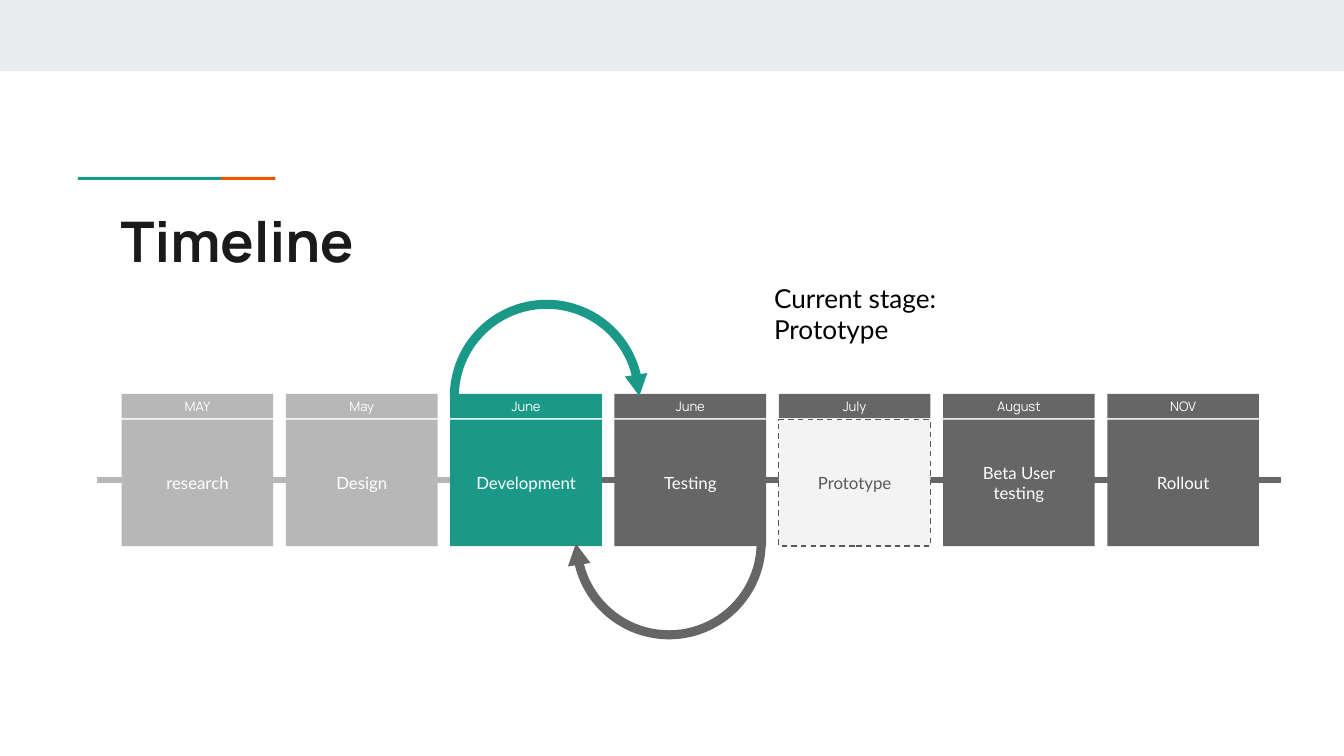
"""Build the project timeline slide with its development and testing loop."""
from dataclasses import dataclass

from lxml.etree import SubElement
from pptx import Presentation
from pptx.dml.color import RGBColor
from pptx.enum.dml import MSO_LINE as Dash
from pptx.enum.shapes import MSO_CONNECTOR as Connector, MSO_SHAPE as Shape
from pptx.enum.text import MSO_ANCHOR as Anchor, PP_ALIGN as Align
from pptx.oxml.ns import qn
from pptx.util import Pt


@dataclass(frozen=True)
class Theme:
    teal: str = "1A9988"
    orange: str = "EB5600"
    dark: str = "666666"
    done: str = "B7B7B7"
    band: str = "E9EDEE"
    pale: str = "F3F3F3"
    outline: str = "595959"
    ink: str = "1A1A1A"
    black: str = "000000"
    white: str = "FFFFFF"
    heading: str = "Manrope"
    body: str = "Lato"
    title_size: float = 30
    note_size: float = 14
    stage_size: float = 9
    month_size: float = 7


class TimelineSlide:
    def __init__(self, slide, theme):
        self.shapes = slide.shapes
        self.theme = theme

    def fill_text(self, frame, lines, font, size, color, bold=False, align=Align.LEFT):
        frame.word_wrap = True
        frame.margin_left = frame.margin_right = Pt(7.2)
        frame.margin_top = frame.margin_bottom = Pt(7.2)
        for index, line in enumerate(lines):
            paragraph = frame.add_paragraph() if index else frame.paragraphs[0]
            paragraph.alignment = align
            run = paragraph.add_run()
            run.text = line
            run.font.name = font
            run.font.size = Pt(size)
            run.font.bold = bold
            run.font.color.rgb = RGBColor.from_string(color)

    def text(self, box, lines, font, size, color, bold=False):
        frame = self.shapes.add_textbox(*map(Pt, box)).text_frame
        self.fill_text(frame, lines, font, size, color, bold)

    def block(self, box, color, kind=Shape.RECTANGLE, turn=0, adjust=()):
        block = self.shapes.add_shape(kind, *map(Pt, box))
        block.shadow.inherit = False
        block.fill.solid()
        block.fill.fore_color.rgb = RGBColor.from_string(color)
        block.line.fill.background()
        block.rotation = turn
        for index, value in enumerate(adjust):
            block.adjustments[index] = value
        return block

    def label(self, box, color, text, font, size, ink):
        block = self.block(box, color)
        block.text_frame.vertical_anchor = Anchor.MIDDLE
        self.fill_text(block.text_frame, [text], font, size, ink, align=Align.CENTER)
        return block

    def rail(self, start, end, y, color):
        rail = self.shapes.add_connector(Connector.STRAIGHT, Pt(start), Pt(y), Pt(end), Pt(y))
        rail.line.color.rgb = RGBColor.from_string(color)
        rail.line.width = Pt(3)
        SubElement(rail._element.spPr, qn("a:effectLst"))

    def stage(self, left, month, name, color, current=False):
        theme = self.theme
        fill, ink = (theme.pale, theme.outline) if current else (color, theme.white)
        card = self.label((left, 224.8, 81.2, 67.8), fill, name,
                          theme.body, theme.stage_size, ink)
        if current:
            card.line.color.rgb = RGBColor.from_string(theme.outline)
            card.line.width = Pt(0.75)
            card.line.dash_style = Dash.DASH
        self.label((left, 211, 81.2, 13), color, month,
                   theme.heading, theme.month_size, theme.white)

    def loop(self, arc_corner, head_corner, turn, color):
        self.block((*arc_corner, 103.7, 103.7), color, Shape.BLOCK_ARC, turn,
                   (108, 211.457, 0.047))
        self.block((*head_corner, 12.2, 11.5), color, Shape.ISOSCELES_TRIANGLE,
                   (turn + 171.1) % 360)


def main():
    theme = Theme()
    deck = Presentation()
    deck.slide_width, deck.slide_height = Pt(720), Pt(405)
    page = TimelineSlide(deck.slides.add_slide(deck.slide_layouts[6]), theme)

    page.block((0, 0, 720, 38.2), theme.band)
    page.block((41.8, 94.8, 76.7, 1.6), theme.teal)
    page.block((118.5, 94.8, 29, 1.6), theme.orange)
    page.rail(320.4, 686.2, 257, theme.dark)
    page.rail(51.8, 305.3, 257, theme.done)
    page.text((57.6, 103.7, 605.5, 42.5), ["Timeline"],
              theme.heading, theme.title_size, theme.ink, bold=True)

    stages = [
        ("MAY", "research", theme.done),
        ("May", "Design", theme.done),
        ("June", "Development", theme.teal),
        ("June", "Testing", theme.dark),
        ("July", "Prototype", theme.dark),
        ("August", "Beta User testing", theme.dark),
        ("NOV", "Rollout", theme.dark),
    ]
    for index, (month, name, color) in enumerate(stages):
        page.stage(65.2 + 88 * index, month, name, color, current=name == "Prototype")

    page.loop((241, 160.6), (335.5, 200.7), 0, theme.teal)
    page.loop((306.5, 238.8), (303.3, 291.1), 180, theme.dark)
    page.text((407.6, 144, 108, 49.7), ["Current stage:", "Prototype"],
              theme.body, theme.note_size, theme.black)
    deck.save("out.pptx")


if __name__ == "__main__":
    main()
